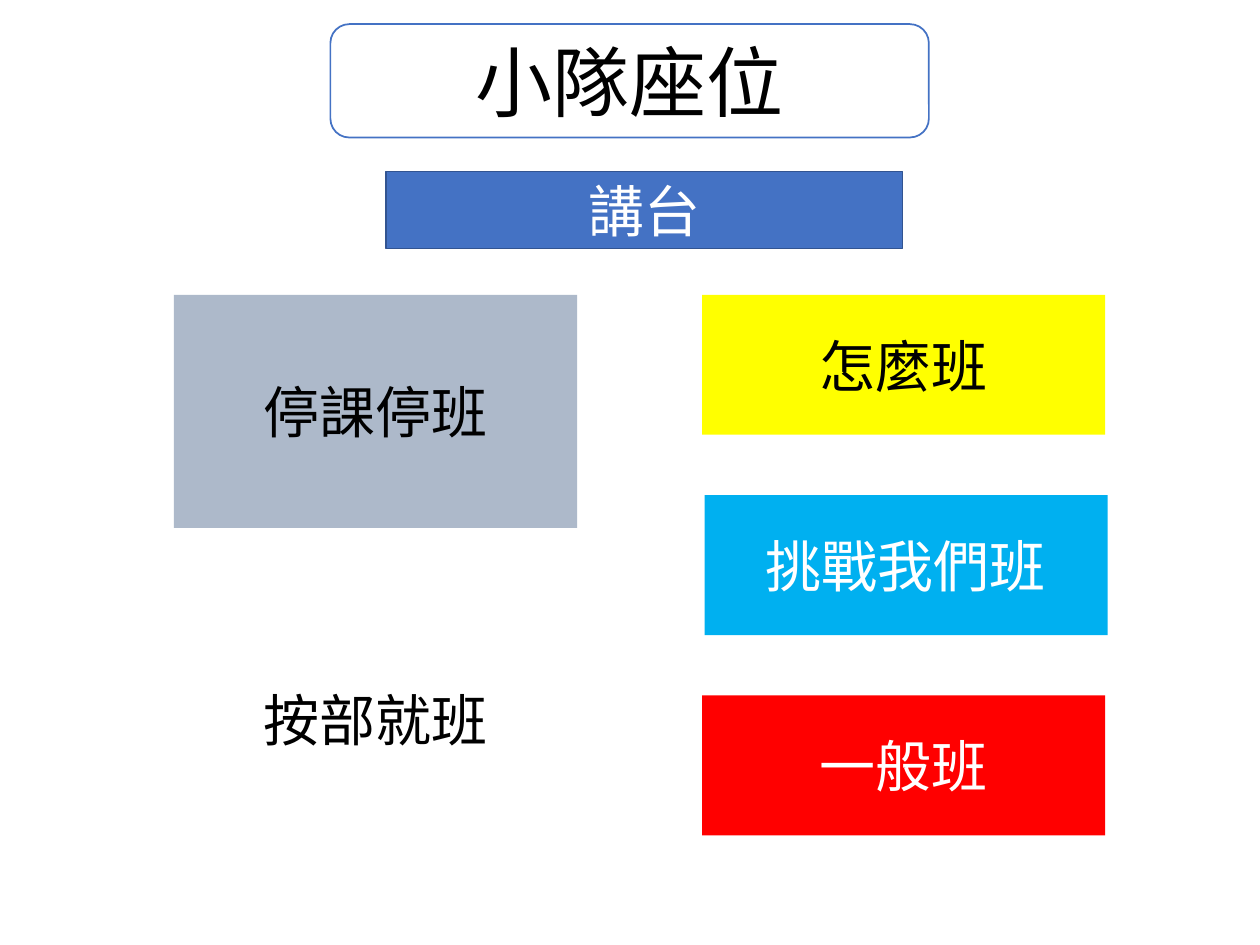
"""Build the team seating plan slide."""
from lxml import etree
from pptx import Presentation
from pptx.dml.color import RGBColor
from pptx.enum.shapes import MSO_SHAPE
from pptx.enum.text import MSO_ANCHOR, PP_ALIGN
from pptx.oxml.ns import qn
from pptx.util import Pt

RECT, ROUND = MSO_SHAPE.RECTANGLE, MSO_SHAPE.ROUNDED_RECTANGLE
MIDDLE, CENTER = MSO_ANCHOR.MIDDLE, PP_ALIGN.CENTER

COLORS = {
    "black": "000000", "white": "FFFFFF", "blue": "4472C4", "navy": "325491",
    "grey": "ADB9CA", "yellow": "FFFF00", "sky": "00B0F0", "red": "FF0000",
}
TITLE = ("小隊座位", "white", "black")
PODIUM = ("講台", "blue", "white")
SEAT_TOP, SEAT_BOTTOM, SEAT_WIDTH = 168.5, 477.4, 230.4
COLUMNS = [
    {"left": 99.4, "height": 133.2, "seats": [
        ("停課停班", "grey", "black", 0),
        ("按部就班", "white", "black", 0)]},
    {"left": 401.2, "height": 80, "seats": [
        ("怎麼班", "yellow", "black", 0),
        ("挑戰我們班", "sky", "white", 1.4),
        ("一般班", "red", "white", 0)]},
]


def color(name):
    return RGBColor.from_string(COLORS[name])


def add_box(slide, box, label, fill, ink, kind=RECT, size=32, line=None):
    s = slide.shapes.add_shape(kind, *map(Pt, box))
    s.shadow.inherit = False
    s.fill.solid()
    s.fill.fore_color.rgb = color(fill)
    if line:
        s.line.color.rgb = color(line)
        s.line.width = Pt(1)
    else:
        s.line.fill.background()
    tf = s.text_frame
    tf.word_wrap = True
    tf.vertical_anchor = MIDDLE
    p = tf.paragraphs[0]
    p.alignment = CENTER
    r = p.add_run()
    r.text = label
    for key, value in {"name": "Lato", "size": Pt(size)}.items():
        setattr(r.font, key, value)
    r.font.color.rgb = color(ink)
    return s


def set_opacity(s, percent):
    rgb = s.fill._xPr.find(qn("a:solidFill"))[0]
    etree.SubElement(rgb, qn("a:alpha"), val=str(percent * 1000))


def main():
    prs = Presentation()
    prs.slide_width, prs.slide_height = Pt(720), Pt(540)
    slide = prs.slides.add_slide(prs.slide_layouts[6])

    title = add_box(slide, (188.8, 13.8, 342, 64.8), *TITLE,
                    kind=ROUND, size=44, line="blue")
    set_opacity(title, 60)
    add_box(slide, (220.4, 98, 295.4, 44), *PODIUM, line="navy")

    for column in COLUMNS:
        height, seats = column["height"], column["seats"]
        pitch = (SEAT_BOTTOM - SEAT_TOP - height) / (len(seats) - 1)
        for i, (label, fill, ink, shift) in enumerate(seats):
            box = (column["left"] + shift, SEAT_TOP + i * pitch, SEAT_WIDTH, height)
            add_box(slide, box, label, fill, ink)

    prs.save("out.pptx")


if __name__ == "__main__":
    main()
